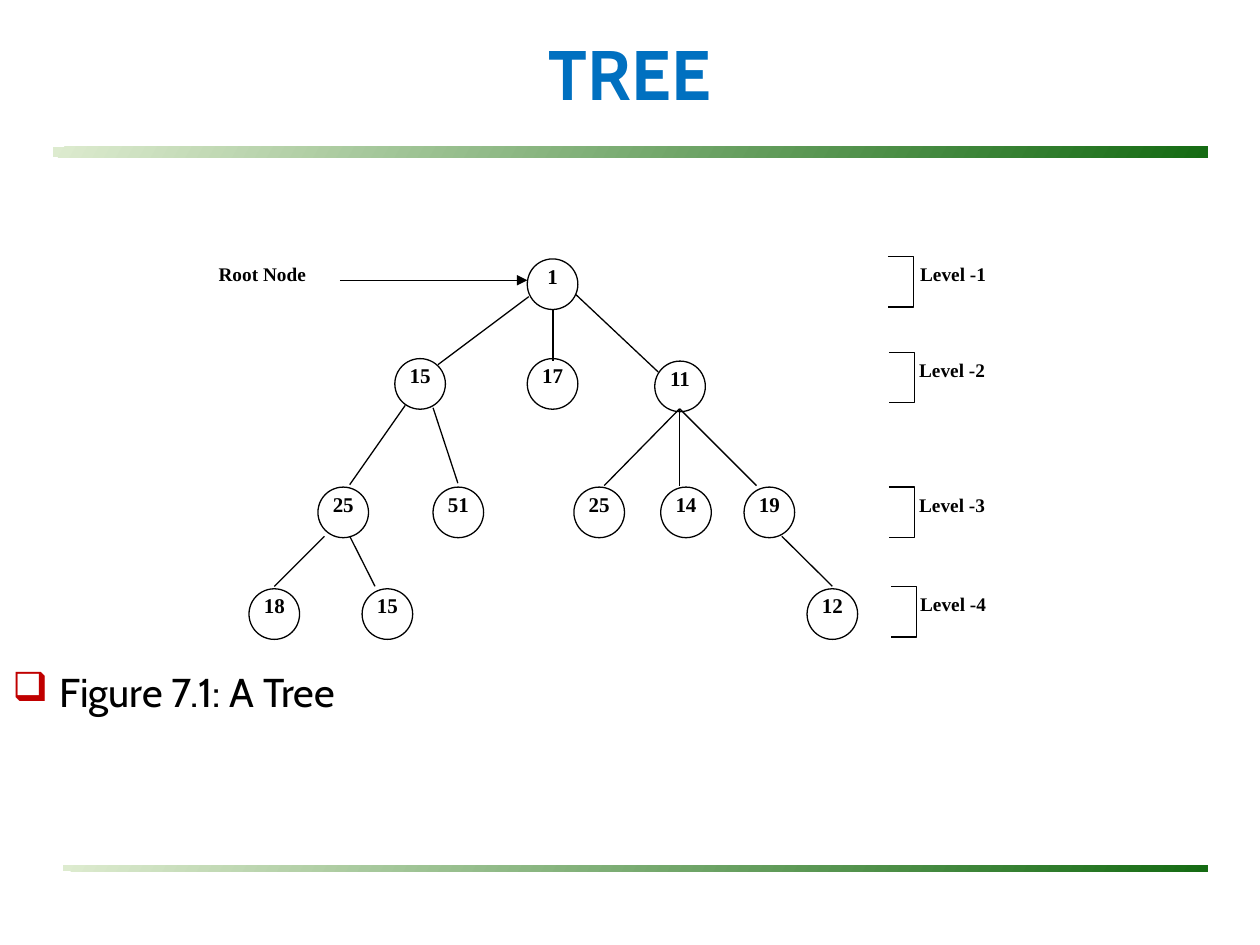
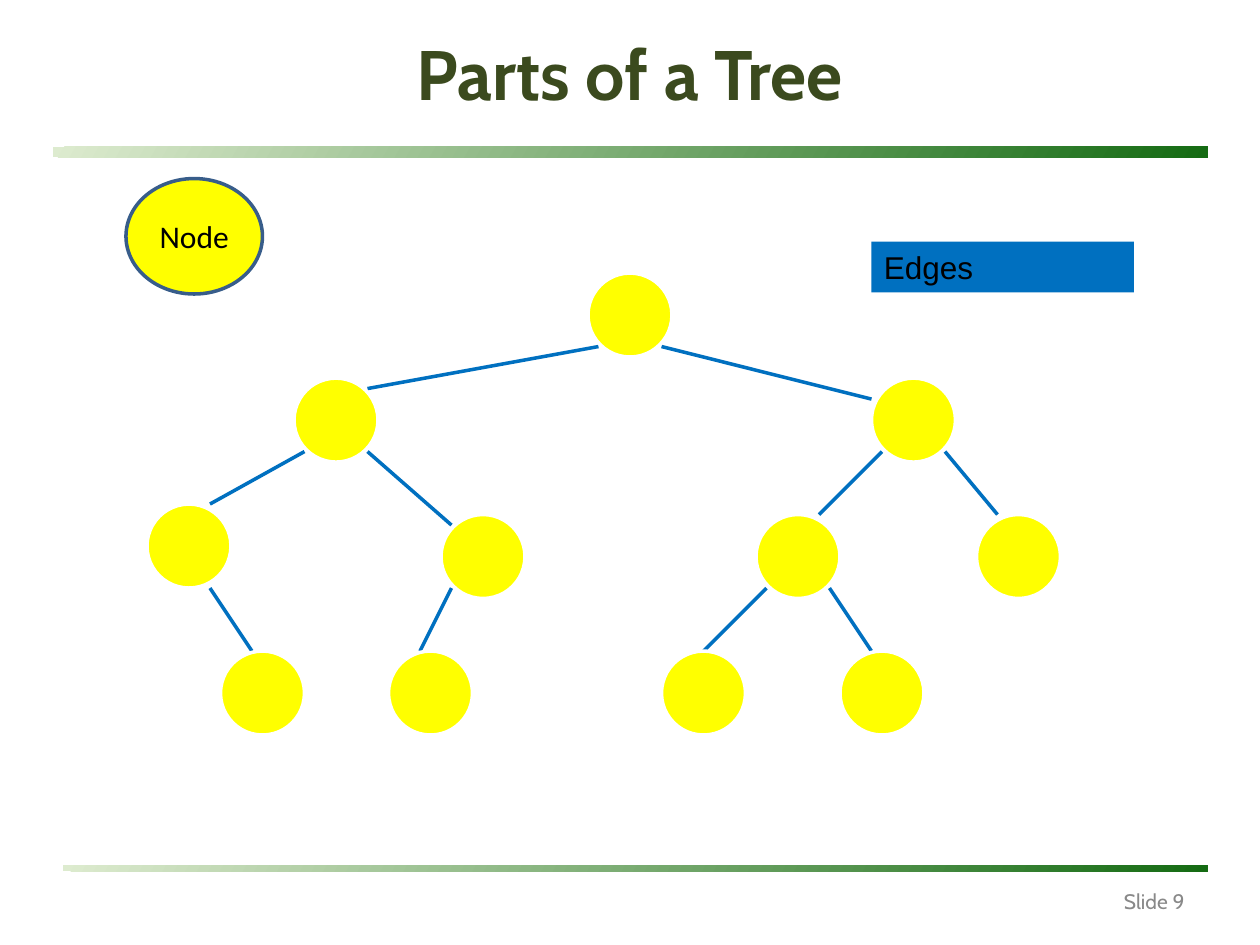
from lxml import etree
from pptx import Presentation
from pptx.dml.color import RGBColor
from pptx.enum.shapes import MSO_CONNECTOR, MSO_SHAPE
from pptx.enum.text import MSO_ANCHOR, PP_ALIGN
from pptx.oxml.ns import qn
from pptx.util import Cm, Pt

RECTANGLE = MSO_SHAPE.RECTANGLE
OVAL = MSO_SHAPE.OVAL
STRAIGHT = MSO_CONNECTOR.STRAIGHT
LEFT, CENTER, RIGHT = PP_ALIGN.LEFT, PP_ALIGN.CENTER, PP_ALIGN.RIGHT
TOP, MIDDLE = MSO_ANCHOR.TOP, MSO_ANCHOR.MIDDLE

BLACK, WHITE, BLUE, YELLOW = "000000", "FFFFFF", "0070C0", "FFFF00"
OLIVE, GRAY, NAVY, RED = "3B4A1E", "898989", "385D8A", "C00000"
PALE_GREEN, DARK_GREEN = "DDEBCF", "156B13"
TITLE_FONT, DIAGRAM_FONT = "Cabin", "Times New Roman"

TITLE_BOX = (1.27, 0.2, 22.86, 2.54)
TOP_BAND = (1.06, 2.96, 23.29, 0.21)
BOTTOM_BAND = (1.27, 17.44, 23.07, 0.13)
FOOTER_BOX = (22.02, 17.65, 2.11, 1.02)
CAPTION_BOX = (0, 13.33, 22.86, 4.01)
NUMBERED_TREE_BOX = (0.42, 4.66, 24.55, 8.24)
PARTS_BOX = (2.54, 3.6, 20.32, 11.22)

NODE_SIZE = 1.02
NUMBERED_NODES = [
    ("1", 10.21, 0.56),
    ("15", 7.54, 2.57), ("17", 10.21, 2.57), ("11", 12.78, 2.62),
    ("25", 5.99, 5.16), ("51", 8.31, 5.16), ("25", 11.15, 5.16),
    ("14", 12.9, 5.16), ("19", 14.58, 5.16),
    ("18", 4.6, 7.21), ("15", 6.88, 7.21), ("12", 15.85, 7.21),
]
NUMBERED_EDGES = [
    (10.24, 1.32, 8.41, 2.69), (10.73, 1.57, 10.73, 2.62), (11.18, 1.27, 12.85, 2.84),
    (7.75, 3.51, 6.63, 5.11), (8.31, 3.56, 8.81, 5.08),
    (13.28, 3.58, 11.76, 5.13), (13.28, 3.58, 13.28, 5.13), (13.28, 3.58, 14.83, 5.13),
    (6.12, 6.15, 5.11, 7.16), (6.63, 6.15, 7.14, 7.16), (15.34, 6.15, 16.36, 7.16),
]
ROOT_ARROW = (6.43, 0.99, 10.21, 0.99)
LEVELS = [(17.48, 17.88, 0.51), (17.5, 17.86, 2.44), (17.5, 17.86, 5.16), (17.55, 17.88, 7.16)]

PARTS_COLUMNS = 96
PARTS_NODE_STEPS = 8
PARTS_NODES = [
    (44, 9), (16, 19), (71, 19), (2, 31), (30, 32), (60, 32), (81, 32),
    (9, 45), (25, 45), (51, 45), (68, 45),
]
PARTS_EDGES = [
    (45, 16, 23, 20), (51, 16, 71, 21), (17, 26, 8, 31), (23, 26, 31, 33),
    (72, 26, 66, 32), (78, 26, 83, 32), (8, 39, 12, 45), (31, 39, 28, 45),
    (61, 39, 55, 45), (67, 39, 71, 45),
]


def color(hex_value):
    return RGBColor.from_string(hex_value)


def lengths(values):
    return [Cm(value) for value in values]


def inside(box, left, top, width, height):
    return box[0] + left, box[1] + top, width, height


def paint(shape, fill=None, line=None, weight=0.75):
    shape.shadow.inherit = False
    if fill:
        shape.fill.solid()
        shape.fill.fore_color.rgb = color(fill)
    else:
        shape.fill.background()
    if line:
        shape.line.color.rgb = color(line)
        shape.line.width = Pt(weight)
    else:
        shape.line.fill.background()


def add_box(page, kind, box, fill=None, line=None, weight=0.75):
    shape = page.shapes.add_shape(kind, *lengths(box))
    paint(shape, fill, line, weight)
    return shape


def write(shape, text, size, font, ink=BLACK, bold=False, align=LEFT, anchor=TOP):
    frame = shape.text_frame
    frame.word_wrap = True
    frame.vertical_anchor = anchor
    frame.text = text
    para = frame.paragraphs[0]
    para.alignment = align
    span = para.runs[0]
    span.font.size = Pt(size)
    span.font.name = font
    span.font.bold = bold
    span.font.color.rgb = color(ink)
    return para


def add_text(page, box, *style, **options):
    return write(page.shapes.add_textbox(*lengths(box)), *style, **options)


def add_line(page, box, ends, ink, weight, arrow=False):
    x1, y1, x2, y2 = ends
    left, top = box[:2]
    line = page.shapes.add_connector(
        STRAIGHT, *lengths((left + x1, top + y1, left + x2, top + y2)))
    line.line.color.rgb = color(ink)
    line.line.width = Pt(weight)
    if arrow:
        etree.SubElement(line.line._get_or_add_ln(), qn("a:tailEnd"), type="triangle")
    etree.SubElement(line._element.spPr, qn("a:effectLst"))


def add_band(page, box):
    band = add_box(page, RECTANGLE, box)
    band.fill.gradient()
    band.fill.gradient_angle = 330
    for stop, shade in zip(band.fill.gradient_stops, (PALE_GREEN, DARK_GREEN)):
        stop.color.rgb = color(shade)


def add_page(deck, title, ink):
    page = deck.slides.add_slide(deck.slide_layouts[6])
    add_band(page, TOP_BAND)
    add_band(page, BOTTOM_BAND)
    add_text(page, TITLE_BOX, title, 40, TITLE_FONT, ink, bold=True, align=CENTER, anchor=MIDDLE)
    return page


def add_caption(page, box, text):
    para = add_text(page, box, text, 23, TITLE_FONT)
    para.space_before = Pt(5.8)
    properties = para._p.get_or_add_pPr()
    properties.set("marL", str(Cm(0.95)))
    properties.set("indent", str(Cm(-0.95)))
    bullet_color = etree.SubElement(properties, qn("a:buClr"))
    etree.SubElement(bullet_color, qn("a:srgbClr"), val=RED)
    etree.SubElement(properties, qn("a:buChar"), char="❑")


def add_diagram_label(page, box, text, size, align):
    label = add_box(page, RECTANGLE, box, WHITE)
    write(label, text, size, DIAGRAM_FONT, bold=True, align=align)


def add_numbered_node(page, box, number, left, top):
    label_box = inside(box, left - 0.51, top - 0.04, 2 * NODE_SIZE, NODE_SIZE)
    add_diagram_label(page, label_box, number, 12, CENTER)
    add_box(page, OVAL, inside(box, left, top, NODE_SIZE, NODE_SIZE), line=BLACK)


def add_bracket(page, box):
    left, top, width, height = lengths(box)
    outline = page.shapes.build_freeform(left, top)
    outline.add_line_segments(
        [(left + width, top), (left + width, top + height), (left, top + height)], close=False)
    paint(outline.convert_to_shape(), WHITE, BLACK)


def add_numbered_tree(page, box):
    add_box(page, RECTANGLE, box, WHITE)
    for node in NUMBERED_NODES:
        add_numbered_node(page, box, *node)
    for ends in NUMBERED_EDGES:
        add_line(page, box, ends, BLACK, 0.75)
    add_line(page, box, ROOT_ARROW, BLACK, 0.75, arrow=True)
    add_diagram_label(page, inside(box, 1.91, 0.51, 4.09, 1.02), "Root Node", 11, RIGHT)
    for level, (bracket_left, label_left, top) in enumerate(LEVELS, 1):
        label_box = inside(box, label_left, top, 3.07, 1.02)
        add_diagram_label(page, label_box, f"Level -{level}", 11, LEFT)
        add_bracket(page, inside(box, bracket_left, top, 0.51, 1.02))


def add_parts_tree(page, box):
    step = box[2] / PARTS_COLUMNS

    def cell(left, top, width, height):
        return inside(box, *(step * value for value in (left, top, width, height)))

    for ends in PARTS_EDGES:
        add_line(page, box, [step * value for value in ends], BLUE, 2)
    for left, top in PARTS_NODES:
        node_box = cell(left, top, PARTS_NODE_STEPS, PARTS_NODE_STEPS)
        add_box(page, OVAL, node_box, YELLOW, WHITE, 2)
    edges_key = add_box(page, RECTANGLE, cell(71, 6, 25, 4.85), BLUE)
    write(edges_key, "Edges", 18, "Arial")
    node_key = add_box(page, OVAL, cell(0, 0, 13, 11), YELLOW, NAVY, 2)
    write(node_key, "Node", 18, "Calibri", align=CENTER, anchor=MIDDLE)


def build_tree_page(deck):
    page = add_page(deck, "TREE", BLUE)
    add_caption(page, CAPTION_BOX, "Figure 7.1: A Tree")
    add_numbered_tree(page, NUMBERED_TREE_BOX)


def build_parts_page(deck):
    page = add_page(deck, "Parts of a Tree", OLIVE)
    add_text(page, FOOTER_BOX, "Slide 9", 12, TITLE_FONT, GRAY, align=RIGHT, anchor=MIDDLE)
    add_parts_tree(page, PARTS_BOX)


def main():
    deck = Presentation()
    deck.slide_width, deck.slide_height = Cm(25.4), Cm(19.05)
    build_tree_page(deck)
    build_parts_page(deck)
    deck.save("out.pptx")


if __name__ == "__main__":
    main()
